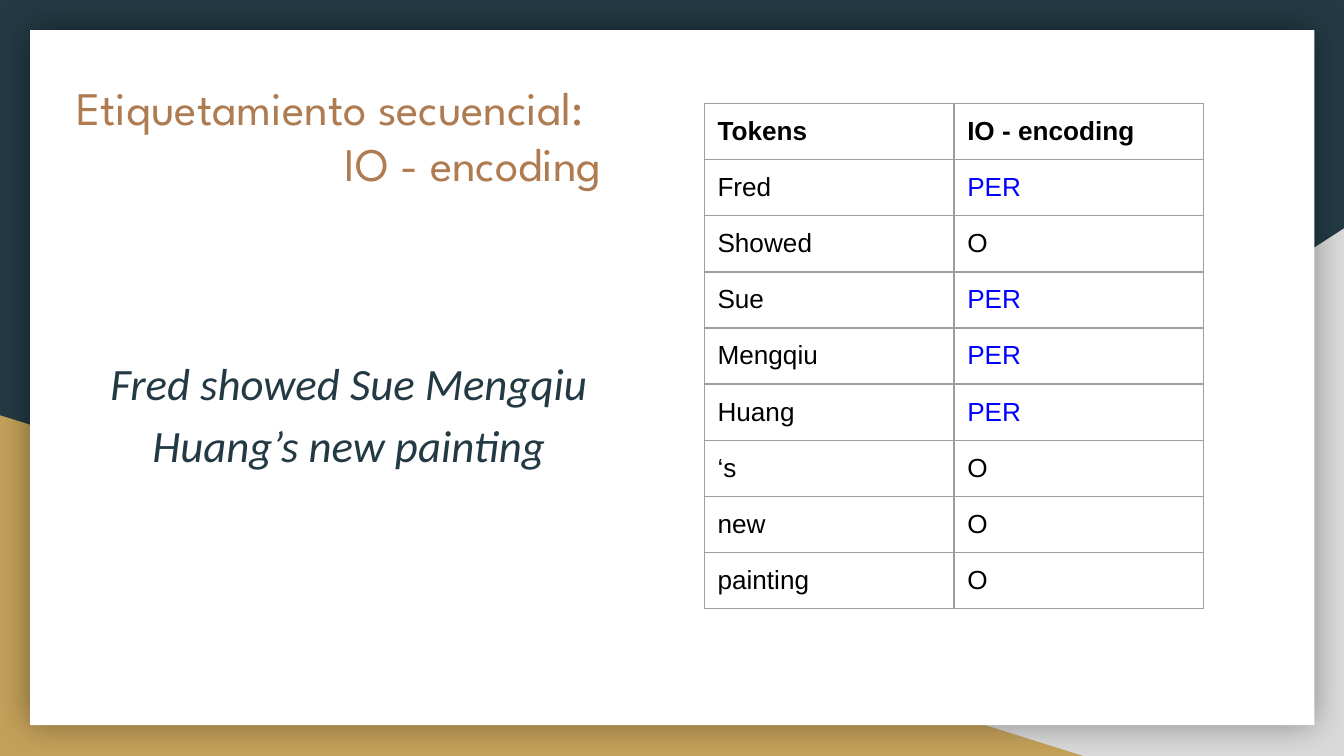
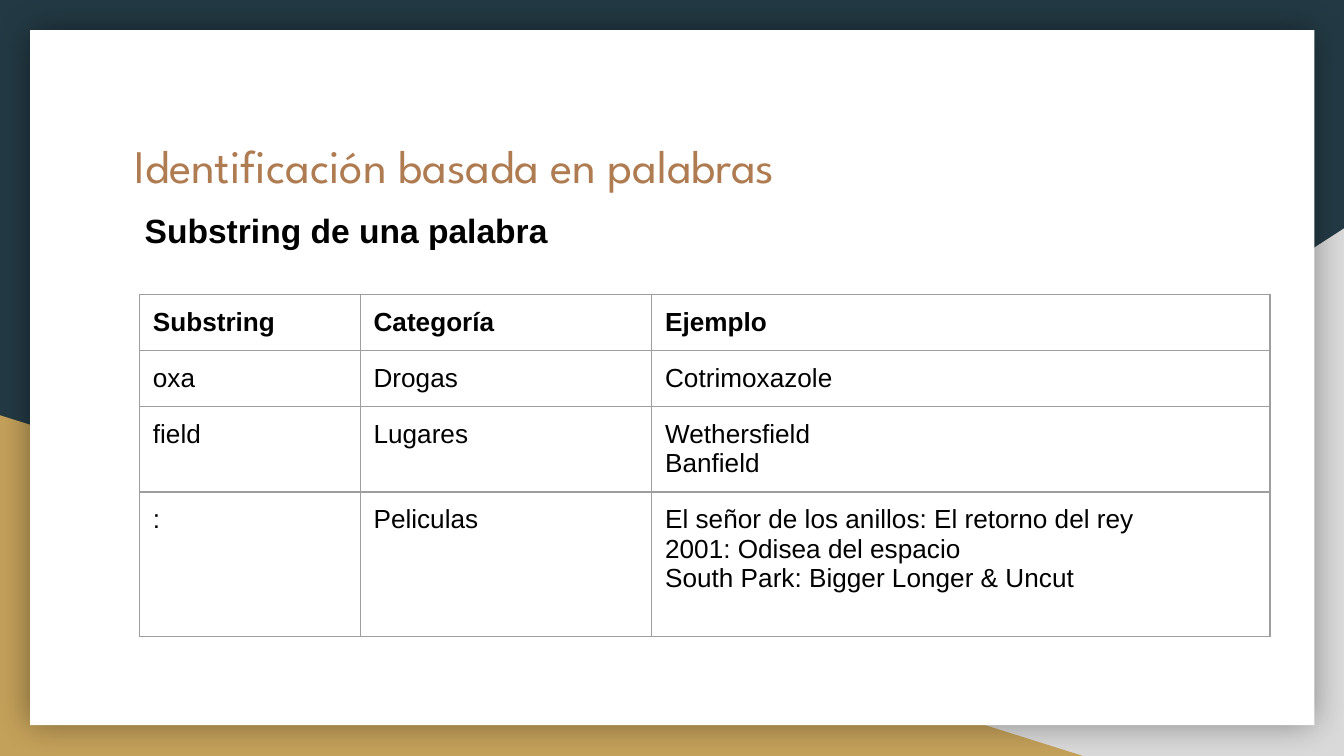
from dataclasses import dataclass

from lxml.etree import SubElement
from pptx import Presentation
from pptx.dml.color import RGBColor
from pptx.enum.shapes import MSO_SHAPE as Preset
from pptx.enum.text import MSO_ANCHOR as Anchor, MSO_AUTO_SIZE as AutoSize, PP_ALIGN as Align
from pptx.oxml.ns import qn
from pptx.util import Cm, Pt

COLORS = {
    "navy": "233A44",
    "grey": "D9D9D9",
    "gold": "C4A15A",
    "white": "FFFFFF",
    "copper": "AF7B51",
    "black": "000000",
    "blue": "0000FF",
    "border": "9E9E9E",
}
TITLE_FONT = "League Spartan"
BODY_FONT = "Calibri"
TABLE_FONT = "Arial"
INSET = 0.25
ROW_HEIGHT = 1.06


@dataclass
class Box:
    """A rectangle in centimetres."""
    left: float
    top: float
    width: float
    height: float

    def inner(self, left, top, width, height):
        return Box(self.left + left, self.top + top, width, height)

    def lengths(self):
        return [Cm(value) for value in (self.left, self.top, self.width, self.height)]


PAGE = Box(0, 0, 25.4, 14.29)
PANEL = PAGE.inner(0.57, 0.57, 24.27, 13.14)


def rgb(name):
    return RGBColor.from_string(COLORS[name])


def write_text(frame, lines, font=TABLE_FONT, size=14, color="black", bold=False,
               italic=False, align=Align.LEFT, anchor=Anchor.TOP, spacing=1.0,
               inset_top=INSET, indents=()):
    """Write one paragraph for each line; indents lists left margins in cm."""
    frame.word_wrap = True
    frame.auto_size = AutoSize.NONE
    frame.vertical_anchor = anchor
    frame.margin_left = frame.margin_right = frame.margin_bottom = Cm(INSET)
    frame.margin_top = Cm(inset_top)
    for index, line in enumerate(lines.split("\n")):
        para = frame.paragraphs[0] if index == 0 else frame.add_paragraph()
        para.alignment = align
        para.line_spacing = spacing
        para.space_before = para.space_after = Pt(0)
        if index < len(indents):
            properties = para._p.get_or_add_pPr()
            properties.set("marL", str(Cm(indents[index])))
            properties.set("indent", "0")
        span = para.add_run()
        span.text = line
        span.font.name = font
        span.font.size = Pt(size)
        span.font.bold = bold
        span.font.italic = italic
        span.font.color.rgb = rgb(color)


def add_title(page, box, lines, **text_format):
    title = page.shapes.title
    title.left, title.top, title.width, title.height = box.lengths()
    write_text(title.text_frame, lines, font=TITLE_FONT, size=25, color="copper", **text_format)


def add_text(page, box, lines, **text_format):
    frame = page.shapes.add_textbox(*box.lengths()).text_frame
    write_text(frame, lines, **text_format)


def add_block(page, preset, box, color):
    block = page.shapes.add_shape(preset, *box.lengths())
    block.shadow.inherit = False
    block.fill.solid()
    block.fill.fore_color.rgb = rgb(color)
    block.line.fill.background()
    return block


def add_backdrop(layout, page, box):
    """Draw the shared backdrop and move it to the layout, behind the title."""
    background = layout.background.fill
    background.solid()
    background.fore_color.rgb = rgb("navy")

    # Corner triangles
    grey = box.inner(box.width - 15.44, box.height - 9.97, 15.44, 9.97)
    right_corner = add_block(page, Preset.RIGHT_TRIANGLE, grey, "grey")
    right_corner.element.spPr.find(qn("a:xfrm")).set("flipH", "1")
    gold = box.inner(0, box.height - 6.44, 20.47, 6.44)
    left_corner = add_block(page, Preset.RIGHT_TRIANGLE, gold, "gold")

    # White panel with a soft shadow
    panel = add_block(page, Preset.RECTANGLE, PANEL, "white")
    effects = panel.element.spPr.find(qn("a:effectLst"))
    shadow = SubElement(effects, qn("a:outerShdw"), blurRad=str(Pt(18)), dist="0",
                        dir="0", algn="ctr", rotWithShape="0")
    tint = SubElement(shadow, qn("a:srgbClr"), val=COLORS["black"])
    SubElement(tint, qn("a:alpha"), val="40000")

    tree = layout.shapes.element
    for index, part in enumerate((right_corner, left_corner, panel)):
        part.element.nvSpPr.cNvPr.set("id", str(101 + index))
        tree.insert(2 + index, part.element)


def draw_borders(cell):
    properties = cell._tc.get_or_add_tcPr()
    for index, side in enumerate(("a:lnL", "a:lnR", "a:lnT", "a:lnB")):
        line = properties.makeelement(qn(side), {"w": str(Pt(0.75))})
        fill = SubElement(line, qn("a:solidFill"))
        SubElement(fill, qn("a:srgbClr"), val=COLORS["border"])
        properties.insert(index, line)


def add_grid(page, box, rows, widths, heights):
    """Add a bordered table with a bold first row and blue PER labels."""
    grid = page.shapes.add_table(len(rows), len(widths), *box.lengths()).table
    grid.first_row = grid.horz_banding = False
    for column, width in zip(grid.columns, widths):
        column.width = Cm(width)
    for row, height in zip(grid.rows, heights):
        row.height = Cm(height)
    for row_index, row in enumerate(rows):
        for column_index, words in enumerate(row):
            cell = grid.cell(row_index, column_index)
            cell.fill.background()
            draw_borders(cell)
            cell.margin_left = cell.margin_right = Cm(INSET)
            cell.margin_top = cell.margin_bottom = Cm(INSET)
            write_cell(cell, words, bold=row_index == 0)


def write_cell(cell, words, bold):
    color = "blue" if words == "PER" else "black"
    for index, line in enumerate(words.split("\n")):
        frame = cell.text_frame
        para = frame.paragraphs[0] if index == 0 else frame.add_paragraph()
        span = para.add_run()
        span.text = line
        span.font.name = TABLE_FONT
        span.font.size = Pt(14)
        span.font.bold = bold
        span.font.color.rgb = rgb(color)


def build_encoding(page, box):
    add_title(page, box.inner(0.62, 0.67, 12.12, 2.44),
              "Etiquetamiento secuencial:\nIO - encoding", indents=(0, 5.08))
    add_text(page, box.inner(1.03, 5.75, 9.98, 4.04),
             "Fred showed Sue Mengqiu Huang’s new painting", font=BODY_FONT, size=24,
             color="navy", italic=True, align=Align.CENTER, spacing=1.15)

    # Token labels
    rows = [
        ("Tokens", "IO - encoding"),
        ("Fred", "PER"),
        ("Showed", "O"),
        ("Sue", "PER"),
        ("Mengqiu", "PER"),
        ("Huang", "PER"),
        ("‘s", "O"),
        ("new", "O"),
        ("painting", "O"),
    ]
    heights = [ROW_HEIGHT] * len(rows)
    widths = [4.72] * 2
    add_grid(page, box.inner(12.74, 1.39, sum(widths), sum(heights)), rows, widths, heights)


def build_substrings(page, box):
    add_title(page, box.inner(1.72, 1.77, 20.85, 1.47), "Identificación basada en palabras")
    add_text(page, box.inner(1.72, 3.27, 8.51, 1.68), "Substring de una palabra",
             size=18, bold=True, align=Align.CENTER, inset_top=0.12)

    # Substring examples
    rows = [
        ("Substring", "Categoría", "Ejemplo"),
        ("oxa", "Drogas", "Cotrimoxazole"),
        ("field", "Lugares", "Wethersfield\nBanfield"),
        (":", "Peliculas", "El señor de los anillos: El retorno del rey\n"
                           "2001: Odisea del espacio\n"
                           "South Park: Bigger Longer & Uncut"),
    ]
    heights = [ROW_HEIGHT, ROW_HEIGHT, 1.62, 2.73]
    widths = [4.17, 5.51, 11.68]
    add_grid(page, box.inner(2.07, 4.99, sum(widths), sum(heights)), rows, widths, heights)


def main():
    deck = Presentation()
    deck.slide_width, deck.slide_height = Cm(PAGE.width), Cm(PAGE.height)
    layout = deck.slide_layouts.get_by_name("Title Only")
    pages = [deck.slides.add_slide(layout) for _ in range(2)]
    add_backdrop(layout, pages[0], PAGE)
    for page, build in zip(pages, (build_encoding, build_substrings)):
        build(page, PANEL)
    deck.save("out.pptx")


if __name__ == "__main__":
    main()
